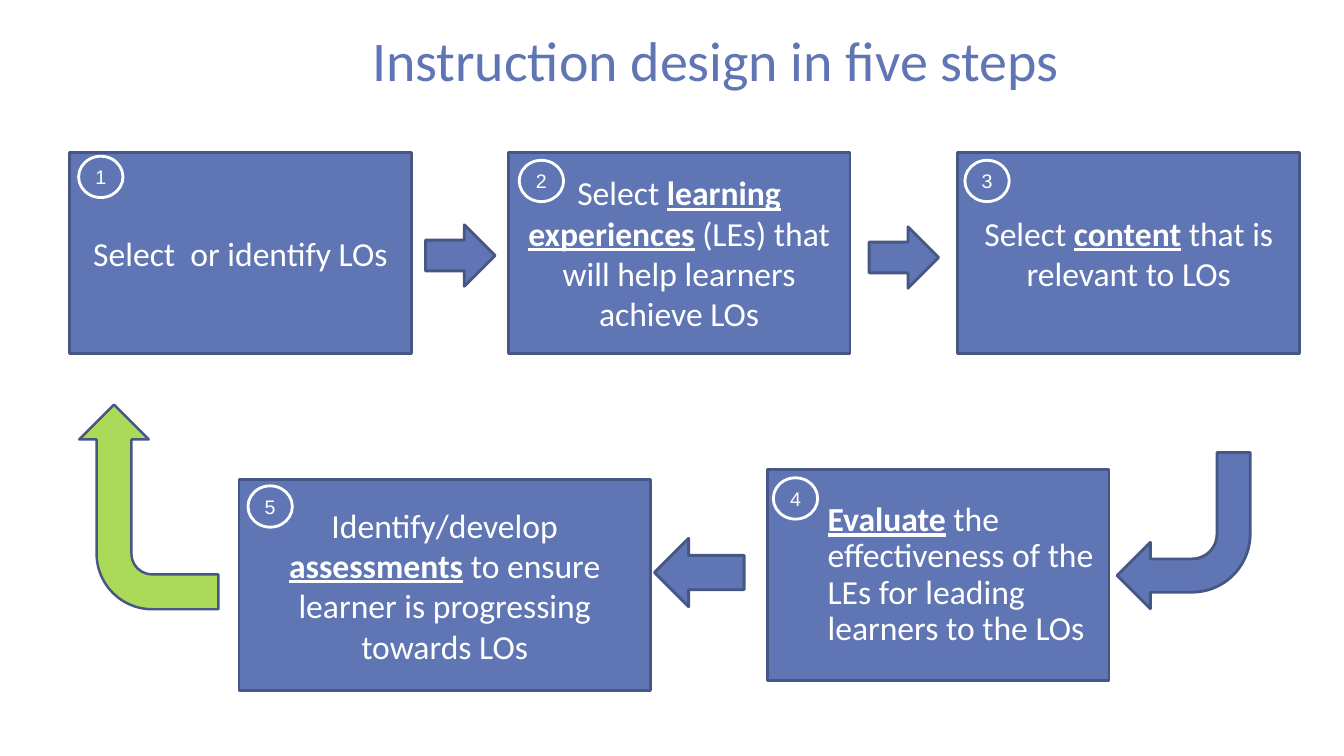
from pptx import Presentation
from pptx.dml.color import RGBColor
from pptx.enum import shapes, text
from pptx.util import Inches, Pt

BLUE, EDGE, GREEN, WHITE = "6076B4", "475785", "ABD958", "FFFFFF"
KIND = shapes.MSO_SHAPE
CENTER = {"alignment": text.PP_ALIGN.CENTER}
SPACED = {**CENTER, "space_before": Pt(6), "space_after": Pt(12)}
TIGHT = {"alignment": text.PP_ALIGN.LEFT, "line_spacing": 0.9, "space_before": Pt(4.8)}

STEPS = [
    ((0.69, 1.51, 3.39, 2), (0.78, 1.55), ("Select  or identify LOs", "", "")),
    ((5.04, 1.51, 3.39, 2), (5.15, 1.59),
     ("Select ", "learning experiences", " (LEs) that will help learners achieve LOs")),
    ((9.5, 1.51, 3.39, 2), (9.57, 1.59), ("Select ", "content", " that is relevant to LOs")),
    ((7.61, 4.66, 3.39, 2.09), (7.67, 4.74),
     ("", "Evaluate", " the effectiveness of the LEs for leading learners to the LOs")),
    ((2.37, 4.76, 4.08, 2.09), (2.46, 4.82),
     ("Identify/develop ", "assessments", " to ensure learner is progressing towards LOs")),
]
ARROWS = [
    (KIND.RIGHT_ARROW, (4.22, 2.23, 0.69, 0.61)),
    (KIND.RIGHT_ARROW, (8.62, 2.25, 0.69, 0.61)),
    (KIND.LEFT_ARROW, (6.49, 5.34, 0.89, 0.68)),
]


def color(code):
    return RGBColor.from_string(code)


def assign(item, values):
    for name, value in values.items():
        setattr(item, name, value)


def draw(home, kind, box, fill=BLUE, edge=EDGE, width=2):
    shape = home.add_shape(kind, *map(Inches, box))
    shape.shadow.inherit = False
    shape.fill.solid()
    shape.fill.fore_color.rgb = color(fill)
    shape.line.color.rgb = color(edge)
    shape.line.width = Pt(width)
    return shape


def write(shape, parts, layout, size, face="Calibri", ink=WHITE):
    frame = shape.text_frame
    frame.word_wrap = True
    para = frame.paragraphs[0]
    assign(para, layout)
    for index, words in enumerate(parts):
        if words:
            run = para.add_run()
            run.text = words
            strong = index == 1
            assign(run.font, {"size": Pt(size), "name": face,
                              "bold": strong, "underline": strong})
            run.font.color.rgb = color(ink)
    return frame


def step(slide, number, box, spot, parts):
    home = slide.shapes.add_group_shape().shapes
    listed = number == 4
    card = draw(home, KIND.RECTANGLE, box)
    frame = write(card, parts, TIGHT if listed else SPACED, 24)
    frame.vertical_anchor = text.MSO_ANCHOR.MIDDLE
    if listed:
        props = frame.paragraphs[0]._p.get_or_add_pPr()
        props.set("marL", str(Inches(0.5)))
        props.set("indent", "0")
    badge = draw(home, KIND.OVAL, (*spot, 0.44, 0.41), edge=WHITE)
    frame = write(badge, [str(number)], CENTER, 14, "Arial")
    frame.vertical_anchor = text.MSO_ANCHOR.MIDDLE


def bend(slide, box, turn=0, **look):
    arrow = draw(slide.shapes, KIND.BENT_ARROW, box, **look)
    arrow.rotation = turn
    frame = arrow.element.spPr.get_or_add_xfrm()
    for flip in ("flipH", "flipV"):
        frame.set(flip, "1")
    return arrow


def title(slide):
    box = slide.shapes.add_textbox(*map(Inches, (3.69, 0.33, 7.31, 0.55)))
    frame = write(box, ["Instruction design in five steps"], {"line_spacing": 0.9}, 40, ink=BLUE)
    for side in ("left", "top", "right", "bottom"):
        setattr(frame, f"margin_{side}", Inches(0))


def main():
    deck = Presentation()
    assign(deck, {"slide_width": Inches(13.33), "slide_height": Inches(7.5)})
    slide = deck.slides.add_slide(deck.slide_layouts[6])
    title(slide)
    for number, (box, spot, parts) in enumerate(STEPS, 1):
        step(slide, number, box, spot, parts)
    for kind, box in ARROWS:
        draw(slide.shapes, kind, box)
    bend(slide, (11.08, 4.49, 1.32, 1.55))
    back = bend(slide, (0.46, 4.34, 2.03, 1.38), 90, fill=GREEN, width=1.75)
    for index, value in enumerate((0.25, 0.25, 0.25, 0.4)):
        back.adjustments[index] = value
    deck.save("out.pptx")


if __name__ == "__main__":
    main()
